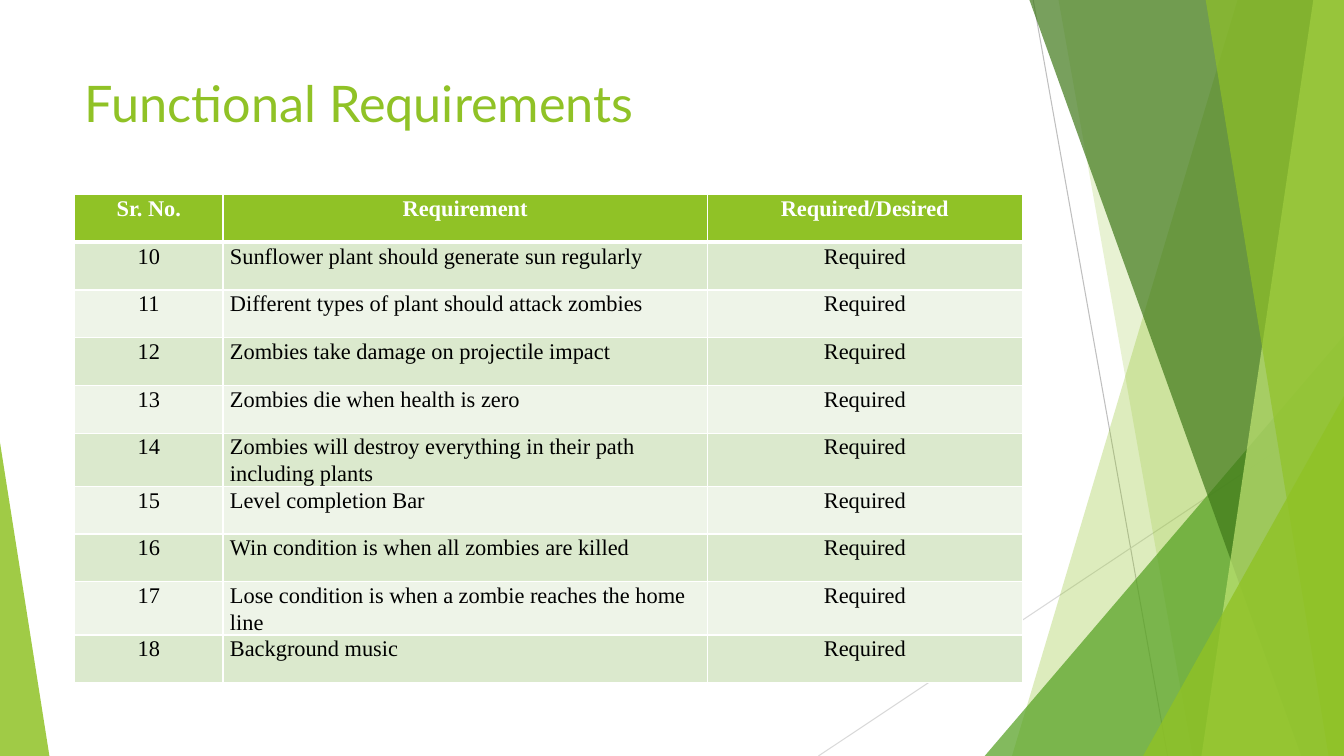
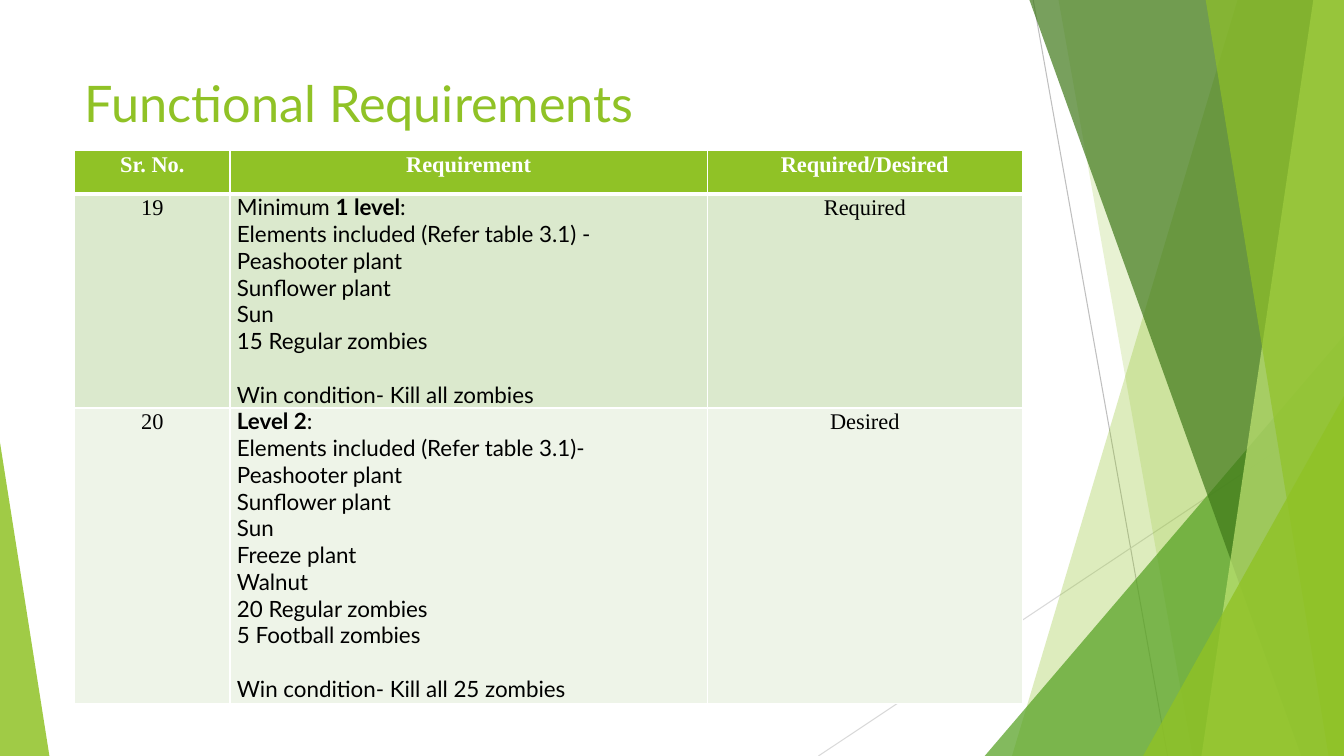
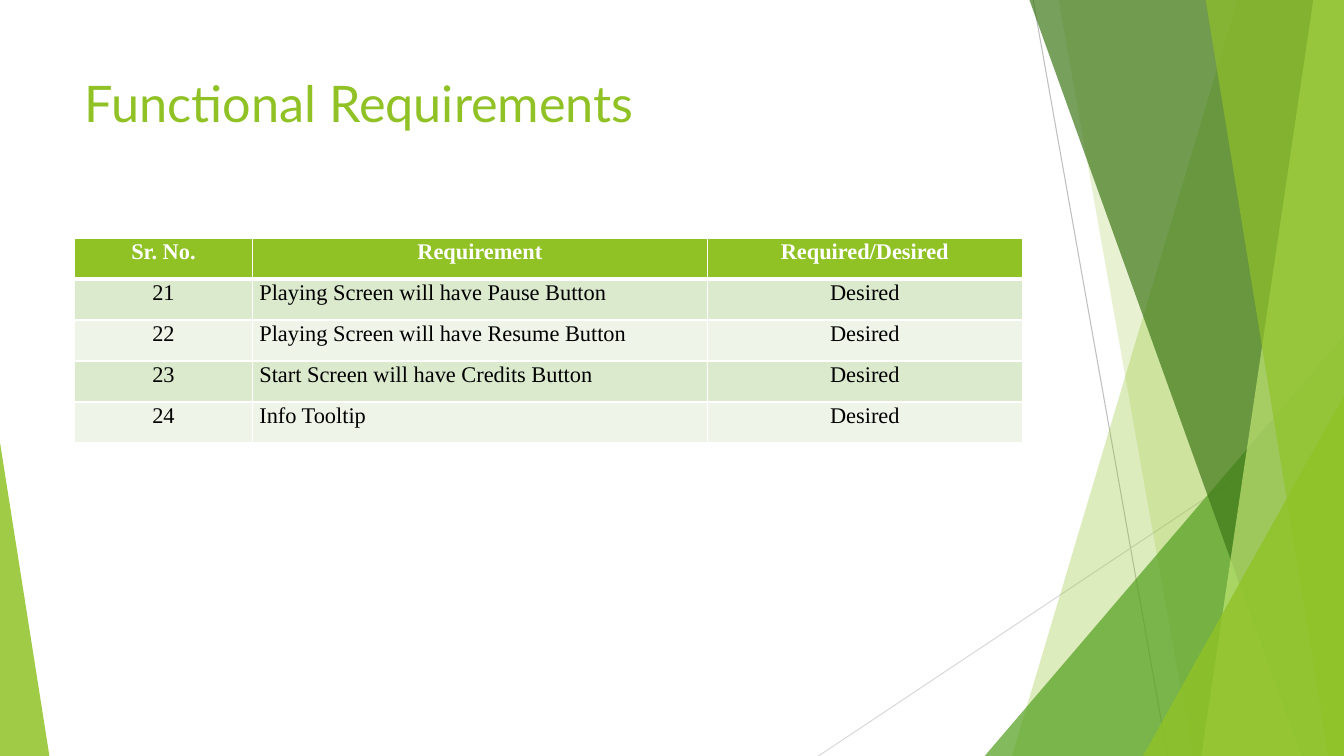
from collections import namedtuple

from lxml.etree import SubElement as sub
from pptx import Presentation
from pptx.dml.color import RGBColor
from pptx.enum.shapes import MSO_CONNECTOR as Link, MSO_SHAPE as Form
from pptx.enum.text import MSO_ANCHOR as Anchor, MSO_AUTO_SIZE as Auto, PP_ALIGN as Align
from pptx.oxml.ns import qn
from pptx.util import Pt

Box = namedtuple("Box", "x y w h")

GREEN, LEAF, PINE, LIME = "90C226", "54A021", "3F7819", "C0E474"
WHITE, BLACK = "FFFFFF", "000000"
BANDS = ("EEF4E8", "DBE9CD")
SERIF, SANS = "Times New Roman", "Lato"
PAGE = Box(0, 0, 960, 540)
HEAD = Box(53.3, 48, 677, 104)
LAST = 225
LINE = 19.2

LINES = [
    (738, 0, 834, 540, "BFBFBF"),
    (960, 290, 584.6, 540, "D9D9D9"),
]
SHARDS = [
    ("band", 884.2, 722.9, GREEN, 30),
    ("band", 756, 851.8, GREEN, 20),
    ("peak", Box(703.4, 239.8, 256.6, 300.2), 1, LEAF, 72),
    ("band", 735.1, 929.5, PINE, 70),
    ("band", 938.2, 858.2, LIME, 70),
    ("band", 861.1, 949, GREEN, 65),
    ("peak", Box(816.5, 283, 143.5, 257), 1, GREEN, 80),
    ("peak", Box(0, 316.1, 35.3, 223.9), 0, GREEN, 85),
]

TITLE = "Functional Requirements"
HEADS = ("Sr. No.", "Requirement", "Required/Desired")
CORE = [
    "Sunflower plant should generate sun regularly",
    "Different types of plant should attack zombies",
    "Zombies take damage on projectile impact",
    "Zombies die when health is zero",
    "Zombies will destroy everything in their path including plants",
    "Level completion Bar",
    "Win condition is when all zombies are killed",
    "Lose condition is when a zombie reaches the home line",
    "Background music",
]
LEVELS = [
    ("Minimum *1 level*:", "Elements included (Refer table 3.1) -", "Peashooter plant",
     "Sunflower plant", "Sun", "15 Regular zombies", "Win condition- Kill all zombies"),
    ("*Level 2*:", "Elements included (Refer table 3.1)-", "Peashooter plant",
     "Sunflower plant", "Sun", "Freeze plant", "Walnut", "20 Regular zombies",
     "5 Football zombies", "Win condition- Kill all 25 zombies"),
]
EXTRAS = [
    "Playing Screen will have Pause Button",
    "Playing Screen will have Resume Button",
    "Start Screen will have Credits Button",
    "Info Tooltip",
]


def hue(code):
    return RGBColor.from_string(code)


def put(item, vals):
    for name, val in vals.items():
        setattr(item, name, val)


def place(item, box):
    put(item, dict(zip(("left", "top", "width", "height"), map(Pt, box))))


def write(para, text, font, size, color, bold=False):
    for i, part in enumerate(text.split("*")):
        if part:
            run = para.add_run()
            run.text = part
            put(run.font, {"name": font, "size": Pt(size), "bold": bold or i % 2 == 1})
            run.font.color.rgb = hue(color)


def tint(shape, color, alpha):
    shape.shadow.inherit = False
    shape.line.fill.background()
    shape.fill.solid()
    shape.fill.fore_color.rgb = hue(color)
    node = shape.element.spPr.find(qn("a:solidFill")).find(qn("a:srgbClr"))
    sub(node, qn("a:alpha"), val=str(alpha * 1000))


def band(shapes, box, top, foot):
    high, low, edge = Pt(box.y - 0.7), Pt(box.y + box.h), Pt(box.x + box.w)
    start = Pt(box.x + top)
    pen = shapes.build_freeform(start, high)
    pen.add_line_segments([(edge, high), (edge, low), (Pt(box.x + foot), low)], close=True)
    return pen.convert_to_shape()


def peak(shapes, box, part, tip):
    spot = part._replace(x=box.x + part.x, y=box.y + part.y)
    shape = shapes.add_shape(Form.ISOSCELES_TRIANGLE, *map(Pt, spot))
    shape.adjustments[0] = tip
    return shape


def decor(shapes, box):
    group = shapes.add_group_shape()
    for x1, y1, x2, y2, color in LINES:
        ends = (box.x + x1, box.y + y1, box.x + x2, box.y + y2)
        line = group.shapes.add_connector(Link.STRAIGHT, *map(Pt, ends))
        line.line.width = Pt(0.75)
        line.line.color.rgb = hue(color)
        sub(line.element.spPr, qn("a:effectLst"))
    makers = {"band": band, "peak": peak}
    for kind, one, two, color, alpha in SHARDS:
        tint(makers[kind](group.shapes, box, one, two), color, alpha)
    return group


def dress(layout, slide):
    for item in list(layout.placeholders):
        if item.placeholder_format.idx:
            item.element.getparent().remove(item.element)
        else:
            place(item, HEAD)
    layout.shapes.element.insert(2, decor(slide.shapes, PAGE).element)


def head(slide, text):
    frame = slide.shapes.title.text_frame
    put(frame, {"vertical_anchor": Anchor.TOP, "auto_size": Auto.NONE, "word_wrap": True})
    para = frame.paragraphs[0]
    para.alignment = Align.LEFT
    write(para, text, SANS, 36, GREEN)


def frame_cell(cell, row):
    widths = {"lnL": 1, "lnR": 1, "lnT": 3 if row == 1 else 1, "lnB": 1 if row else 3}
    props = cell._tc.get_or_add_tcPr()
    for side, width in widths.items():
        edge = sub(props, qn("a:" + side), w=str(Pt(width)))
        sub(sub(edge, qn("a:solidFill")), qn("a:srgbClr"), val=WHITE)


def fill_cell(cell, row, col, text):
    frame_cell(cell, row)
    cell.fill.solid()
    cell.fill.fore_color.rgb = hue(BANDS[row % 2] if row else GREEN)
    put(cell, {"margin_left": Pt(5), "margin_right": Pt(5), "margin_top": 0,
               "margin_bottom": 0, "vertical_anchor": Anchor.TOP})
    frame = cell.text_frame
    if isinstance(text, tuple):
        for i, line in enumerate(text):
            para = frame.paragraphs[0] if i == 0 else frame.add_paragraph()
            write(para, line, SANS, 16, BLACK)
        para.space_before = Pt(LINE)
        return
    para = frame.paragraphs[0]
    left = row and col == 1
    put(para, {"alignment": Align.LEFT if left else Align.CENTER,
               "line_spacing": 1.07, "space_before": Pt(12)})
    write(para, text, SERIF, 16, BLACK if row else WHITE, not row)


def grid(slide, box, first, tall, rows):
    shape = slide.shapes.add_table(len(rows), len(HEADS), *map(Pt, box))
    table = shape.table
    put(table, {"first_row": True, "horz_banding": False})
    for col, width in zip(table.columns, (first, box.w - first - LAST, LAST)):
        col.width = Pt(width)
    for r, (row, height, texts) in enumerate(zip(table.rows, tall, rows)):
        row.height = Pt(height)
        for c, text in enumerate(texts):
            fill_cell(row.cells[c], r, c, text)


def number(start, texts, marks):
    rows = zip(texts, marks)
    return [HEADS] + [(str(n), text, mark) for n, (text, mark) in enumerate(rows, start)]


def main():
    deck = Presentation()
    put(deck, {"slide_width": Pt(PAGE.w), "slide_height": Pt(PAGE.h)})
    layout = deck.slide_layouts[5]
    pages = [
        (139, 106, [34.1] * 10, number(10, CORE, ["Required"] * 9)),
        (107.4, 111, [31, 153, 211], number(19, LEVELS, ["Required", "Desired"])),
        (170, 127, [29.3] * 5, number(21, EXTRAS, ["Desired"] * 4)),
    ]
    for i, (top, first, tall, rows) in enumerate(pages):
        slide = deck.slides.add_slide(layout)
        if i == 0:
            dress(layout, slide)
        head(slide, TITLE)
        grid(slide, Box(HEAD.x, top, HEAD.w, sum(tall)), first, tall, rows)
    deck.save("out.pptx")


if __name__ == "__main__":
    main()
